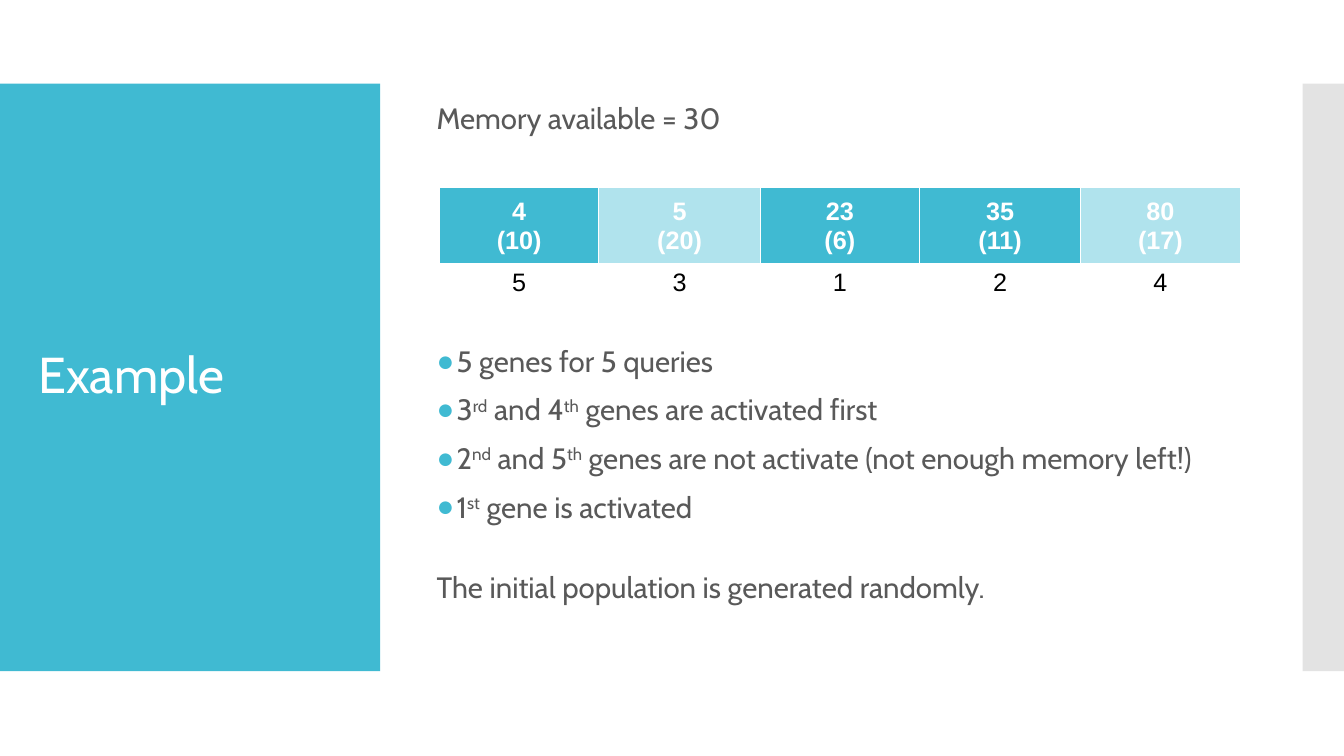
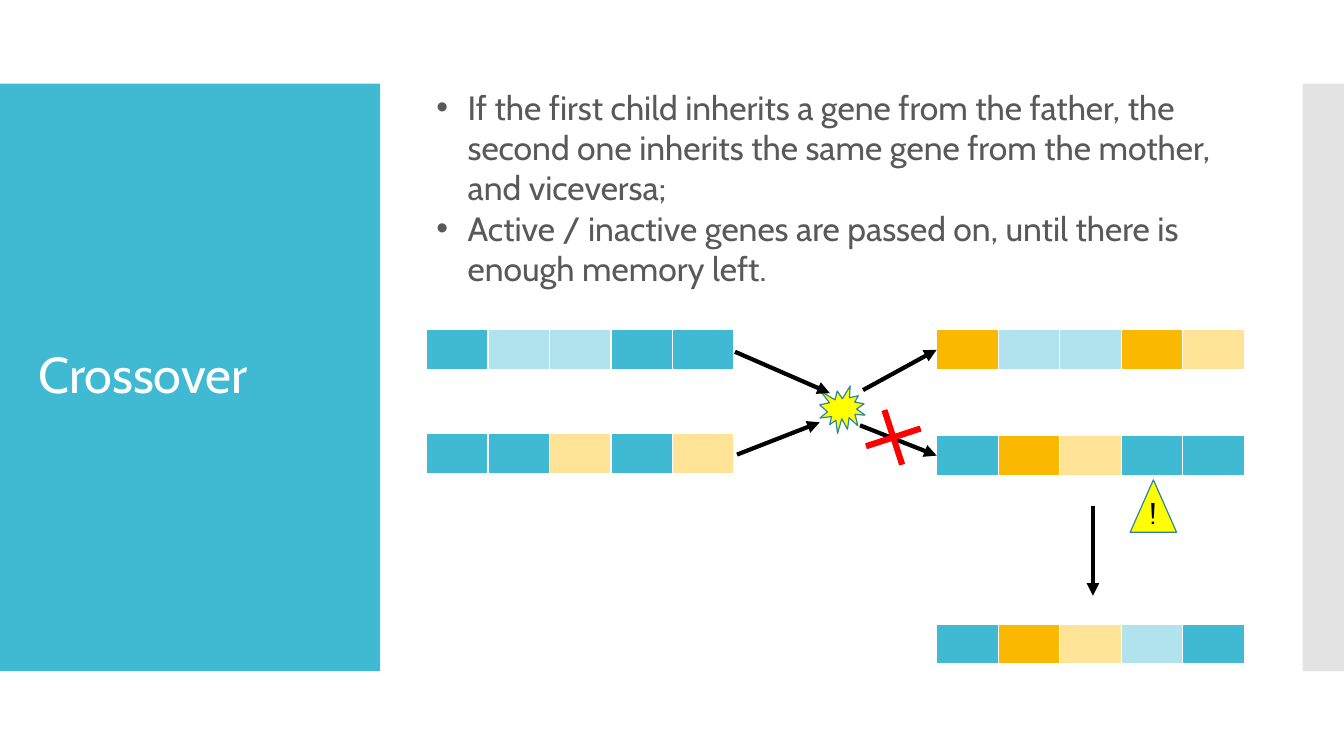
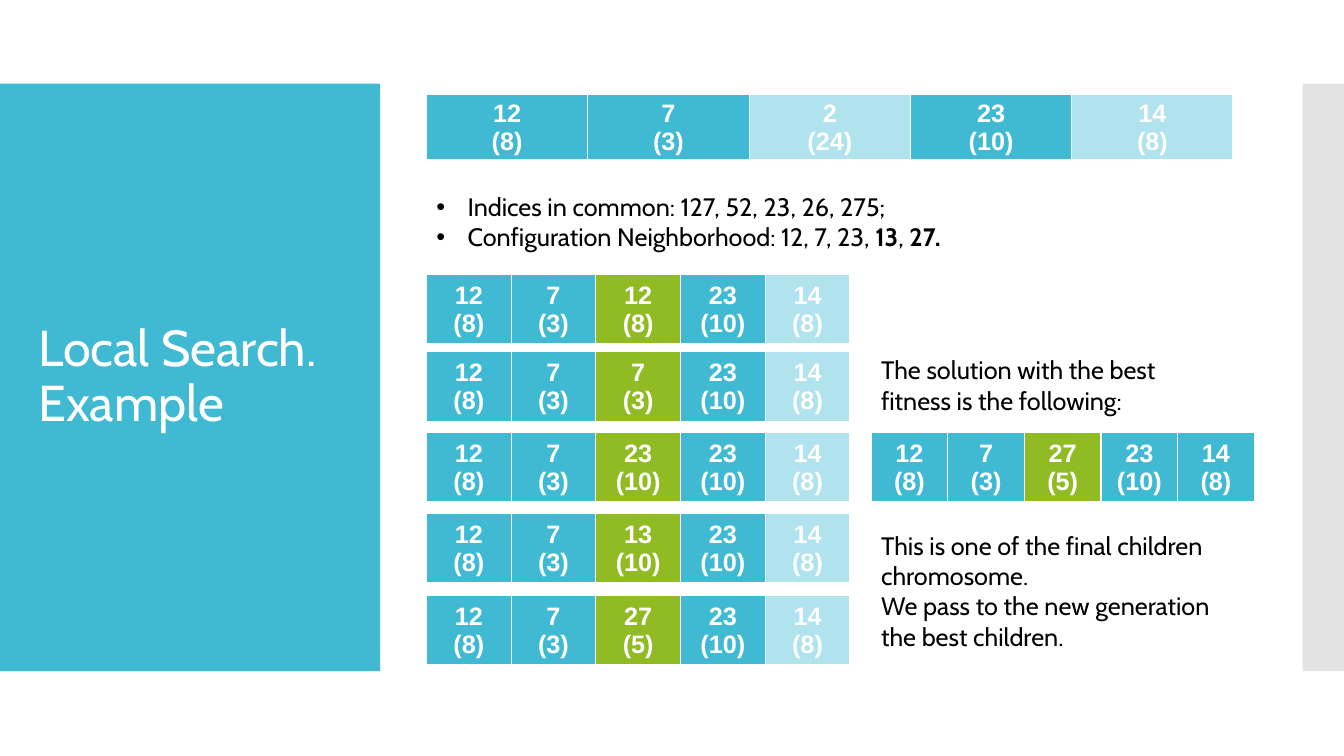
from lxml.etree import SubElement
from pptx import Presentation
from pptx.dml.color import RGBColor
from pptx.enum.shapes import MSO_CONNECTOR, MSO_SHAPE
from pptx.enum.text import MSO_ANCHOR, MSO_AUTO_SIZE, PP_ALIGN
from pptx.oxml import parse_xml
from pptx.oxml.ns import nsdecls, qn
from pptx.util import Inches, Pt

# Shared look
BLUE, PALE_BLUE, DARK_BLUE = "40BAD2", "B0E3ED", "2E8799"
AMBER, PALE_AMBER, GREEN = "FAB900", "FFE397", "90BB23"
WHITE, BLACK, GREY, BAND_GREY = "FFFFFF", "000000", "595959", "C8C8C8"
YELLOW, RED = "FFFF00", "FF0000"
TEXT_FONT, GENE_FONT = "Cabin", "Arial"
CONTENT_LEFT = 4.23

# Gene codes: capitals are active, small letters inactive, N is a neighbour
GENE_FILLS = {"F": BLUE, "f": PALE_BLUE, "M": AMBER, "m": PALE_AMBER, "N": GREEN}


def rgb(value):
    return RGBColor.from_string(value)


def inches(*lengths):
    return [Inches(length) for length in lengths]


# Text
def style_font(font, size, color, name=TEXT_FONT, bold=False):
    font.size, font.name, font.bold = Pt(size), name, bold
    font.color.rgb = rgb(color)


def set_bullet(paragraph, char="", color=BLACK, indent=0.0):
    properties = paragraph._p.get_or_add_pPr()
    properties.set("marL", str(Inches(indent)))
    properties.set("indent", str(-Inches(indent)))
    if not char:
        SubElement(properties, qn("a:buNone"))
        return
    bullet_color = SubElement(properties, qn("a:buClr"))
    SubElement(bullet_color, qn("a:srgbClr")).set("val", color)
    SubElement(properties, qn("a:buFont")).set("typeface", "Arial")
    SubElement(properties, qn("a:buChar")).set("char", char)


def make_superscript(run):
    run.font._element.set("baseline", "30000")


def make_bold(run):
    run.font.bold = True


def write_paragraph(paragraph, text, size, color, emphasise=make_bold):
    """Pieces between bars are emphasised."""
    for index, piece in enumerate(text.split("|")):
        run = paragraph.add_run()
        run.text = piece
        style_font(run.font, size, color)
        if index % 2:
            emphasise(run)


def add_text(slide, box, lines, size, color=BLACK, bullet="", align=PP_ALIGN.LEFT):
    frame = slide.shapes.add_textbox(*inches(*box)).text_frame
    frame.word_wrap = True
    for index, line in enumerate(lines):
        paragraph = frame.add_paragraph() if index else frame.paragraphs[0]
        paragraph.alignment = align
        write_paragraph(paragraph, line, size, color)
        if bullet:
            set_bullet(paragraph, bullet, color, 0.31)


def place(placeholder, box, anchor):
    placeholder.left, placeholder.top, placeholder.width, placeholder.height = inches(*box)
    frame = placeholder.text_frame
    frame.word_wrap, frame.auto_size = True, MSO_AUTO_SIZE.NONE
    frame.vertical_anchor = anchor
    return frame


def add_titled_slide(prs, title, layout="Title Only"):
    slide = prs.slides.add_slide(prs.slide_layouts.get_by_name(layout))
    frame = place(slide.shapes.title, (0.28, 1.23, 3.22, 5.03), MSO_ANCHOR.MIDDLE)
    paragraph = frame.paragraphs[0]
    paragraph.text = title
    paragraph.alignment, paragraph.line_spacing = PP_ALIGN.LEFT, 0.9
    for run in paragraph.runs:
        style_font(run.font, 36, WHITE)
    return slide


# Shapes and lines
def add_shape(slide, kind, box, fill, line=None):
    shape = slide.shapes.add_shape(kind, *inches(*box))
    shape.shadow.inherit = False
    shape.fill.solid()
    shape.fill.fore_color.rgb = rgb(fill)
    if line:
        shape.line.color.rgb = rgb(line)
        shape.line.width = Pt(0.85)
    else:
        shape.line.fill.background()
    return shape


def add_arrow(slide, start, end):
    arrow = slide.shapes.add_connector(MSO_CONNECTOR.STRAIGHT, *inches(*start, *end))
    arrow.line.color.rgb = rgb(BLACK)
    arrow.line.width = Pt(3)
    SubElement(arrow.line._get_or_add_ln(), qn("a:tailEnd")).set("type", "triangle")
    SubElement(arrow._element.spPr, qn("a:effectLst"))


def add_master_bands(prs, slide):
    """Draw the two side bands and move them onto the master."""
    title_band = add_shape(slide, MSO_SHAPE.RECTANGLE, (0, 0.83, 3.77, 5.83), BLUE)
    edge_band = add_shape(slide, MSO_SHAPE.RECTANGLE, (12.92, 0.83, 0.42, 5.83), BAND_GREY)
    edge_color = edge_band._element.spPr.find(".//" + qn("a:srgbClr"))
    SubElement(edge_color, qn("a:alpha")).set("val", "50000")
    for number, band in enumerate((title_band, edge_band)):
        band._element.nvSpPr.cNvPr.set("id", str(101 + number))
        prs.slide_master.shapes._spTree.insert(2 + number, band._element)


# Chromosome tables
def style_cell(cell, fill, bottom_border):
    cell.fill.solid()
    cell.fill.fore_color.rgb = rgb(fill)
    borders = (("L", 1), ("R", 1), ("T", 1), ("B", bottom_border))
    for index, (side, width) in enumerate(borders):
        border = parse_xml(
            f'<a:ln{side} {nsdecls("a")} w="{Pt(width)}"><a:solidFill>'
            f'<a:srgbClr val="{WHITE}"/></a:solidFill></a:ln{side}>')
        cell._tc.get_or_add_tcPr().insert(index, border)


def write_gene(cell, text, color, bold):
    frame = cell.text_frame
    frame.text = text.replace(" ", "\n")
    for paragraph in frame.paragraphs:
        paragraph.alignment = PP_ALIGN.CENTER
        for run in paragraph.runs:
            style_font(run.font, 18, color, GENE_FONT, bold)


def add_chromosome(slide, left, top, widths, codes, genes=(), height=0.61, order=()):
    """One coloured row of genes, with an optional row of activation order."""
    rows = 2 if order else 1
    frame = slide.shapes.add_table(
        rows, len(codes), *inches(left, top, sum(widths), height + 0.31 * (rows - 1)))
    table = frame.table
    table.first_row = table.horz_banding = False
    table.rows[0].height = Inches(height)
    for column, width in enumerate(widths):
        table.columns[column].width = Inches(width)
        cell = table.cell(0, column)
        style_cell(cell, GENE_FILLS[codes[column]], 3)
        cell.vertical_anchor = MSO_ANCHOR.MIDDLE
        if genes:
            write_gene(cell, genes[column], WHITE, True)
        if order:
            order_cell = table.cell(1, column)
            style_cell(order_cell, WHITE, 1)
            write_gene(order_cell, order[column], BLACK, False)
            for tight in (cell, order_cell):
                tight.margin_left = tight.margin_right = Inches(0.04)
                tight.margin_top = tight.margin_bottom = Inches(0.04)
    if order:
        table.rows[1].height = Inches(0.31)


# Slides
def build_example(prs):
    slide = add_titled_slide(prs, "Example", "Title and Content")
    add_master_bands(prs, slide)
    frame = place(slide.placeholders[1], (CONTENT_LEFT, 0.94, 8, 5.6), MSO_ANCHOR.TOP)
    frame.margin_top = Inches(0.09)
    lines = [  # text, space before, bullet
        ("Memory available = 30", 0, ""),
        ("5 genes for 5 queries", 151, "●"),
        ("3|rd| and 4|th| genes are activated first", 12, "●"),
        ("2|nd| and 5|th| genes are not activate (not enough memory left!)", 12, "●"),
        ("1|st| gene is activated", 12, "●"),
        ("The initial population is generated randomly.", 35, ""),
    ]
    for index, (text, space, bullet) in enumerate(lines):
        paragraph = frame.add_paragraph() if index else frame.paragraphs[0]
        write_paragraph(paragraph, text, 21, GREY, make_superscript)
        paragraph.line_spacing, paragraph.space_before = 0.9, Pt(space)
        set_bullet(paragraph, bullet, BLUE, 0.2 if bullet else 0)
    add_chromosome(slide, 4.36, 1.86, (1.58, 1.6, 1.58, 1.6, 1.58), "FfFFf",
                   ("4 (10)", "5 (20)", "23 (6)", "35 (11)", "80 (17)"),
                   0.77, ("5", "3", "1", "2", "4"))


def build_crossover(prs):
    slide = add_titled_slide(prs, "Crossover")
    add_text(slide, (CONTENT_LEFT, 0.81, 8.12, 2.12), [
        "If the first child inherits a gene from the father, the second one inherits "
        "the same gene from the mother, and viceversa;",
        "Active / inactive genes are passed on, until there is enough memory left.",
    ], 24, GREY, "•")

    # Parents, children and the repaired child
    child_left = 9.29
    for left, top, codes in [
        (CONTENT_LEFT, 3.27, "FffFF"), (CONTENT_LEFT, 4.3, "FFmFm"),
        (child_left, 3.27, "MffMm"), (child_left, 4.32, "FMmFF"),
        (child_left, 6.19, "FMmfF"),
    ]:
        add_chromosome(slide, left, top, [0.61] * 5, codes, height=0.41)

    # Crossover point and flow
    add_shape(slide, MSO_SHAPE.EXPLOSION1, (8.13, 3.83, 0.45, 0.47), YELLOW, DARK_BLUE)
    for start, end in [
        ((7.29, 3.49), (8.23, 3.9)), ((8.56, 3.87), (child_left, 3.47)),
        ((7.31, 4.51), (8.13, 4.19)), ((8.53, 4.22), (child_left, 4.52)),
        ((10.84, 5.02), (10.84, 5.91)),
    ]:
        add_arrow(slide, start, end)

    # Rejected child and its warning
    cross = add_shape(slide, MSO_SHAPE.MATH_MULTIPLY, (8.48, 3.96, 0.76, 0.76), RED, RED)
    cross.rotation = 27
    cross.adjustments[0] = 0.064
    add_shape(slide, MSO_SHAPE.ISOSCELES_TRIANGLE, (11.21, 4.76, 0.46, 0.52),
              YELLOW, DARK_BLUE)
    add_text(slide, (11.13, 4.88, 0.61, 0.44), ["!"], 20, align=PP_ALIGN.CENTER)


def build_local_search(prs):
    slide = add_titled_slide(prs, "Local Search.\nExample")

    def add_variant(left, top, width, codes, third_gene):
        genes = ("12 (8)", "7 (3)", third_gene, "23 (10)", "14 (8)")
        add_chromosome(slide, left, top, [width] * 5, codes, genes)

    add_variant(CONTENT_LEFT, 0.94, 1.6, "FFfFf", "2 (24)")
    add_text(slide, (CONTENT_LEFT, 1.85, 8, 0.71), [
        "Indices in common: 127, 52, 23, 26, 275;",
        "Configuration Neighborhood: 12, 7, 23, |13|, |27.|",
    ], 18, bullet="•")

    # Neighbours
    for top, third_gene in [(2.72, "12 (8)"), (3.49, "7 (3)"), (4.29, "23 (10)"),
                            (5.09, "13 (10)"), (5.91, "27 (5)")]:
        add_variant(CONTENT_LEFT, top, 0.84, "FFNFf", third_gene)

    # Best solution
    best_left = 8.64
    add_text(slide, (best_left, 3.47, 3.3, 0.71),
             ["The solution with the best fitness is the following:"], 18)
    add_variant(best_left, 4.29, 0.76, "FFNFF", "27 (5)")
    add_text(slide, (best_left, 5.21, 3.61, 1.31), [
        "This is one of the final children chromosome.",
        "We pass to the new generation the best children.",
    ], 18)


def main():
    prs = Presentation()
    prs.slide_width, prs.slide_height = inches(13.33, 7.5)
    build_example(prs)
    build_crossover(prs)
    build_local_search(prs)
    prs.save("out.pptx")


if __name__ == "__main__":
    main()
